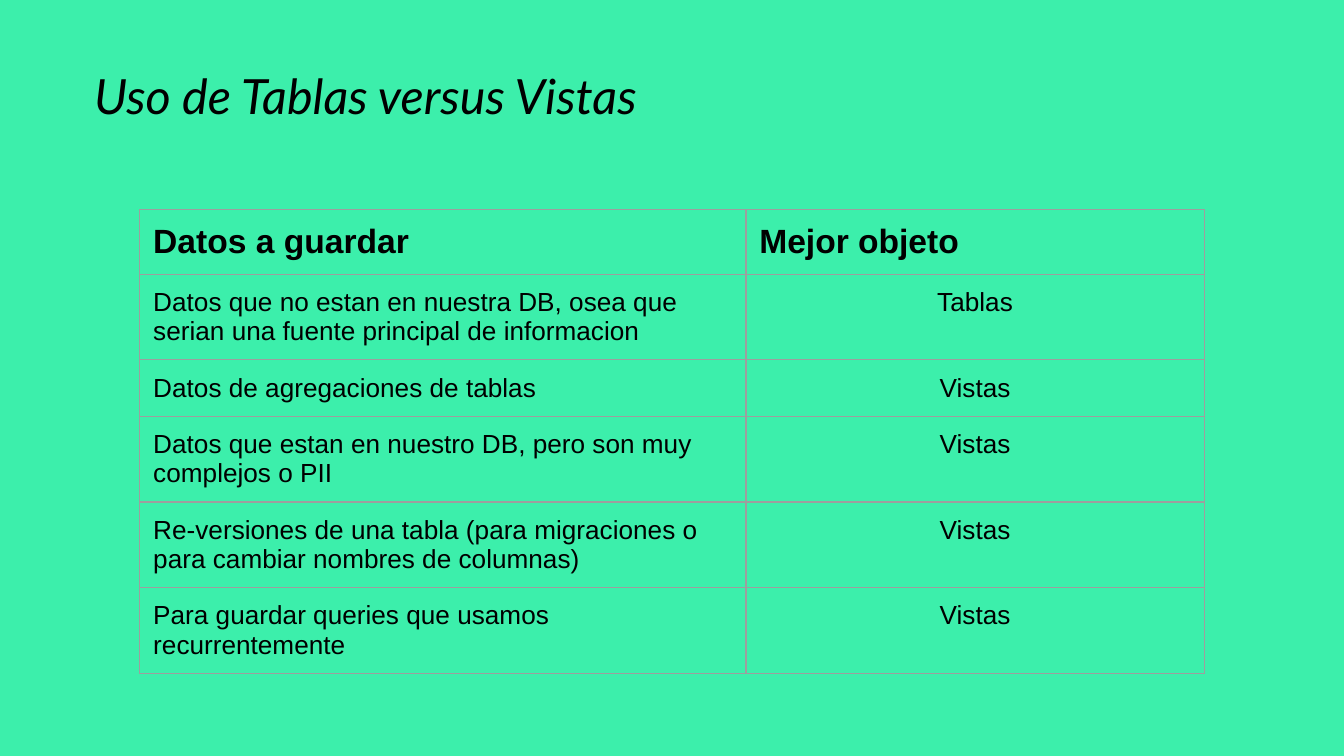
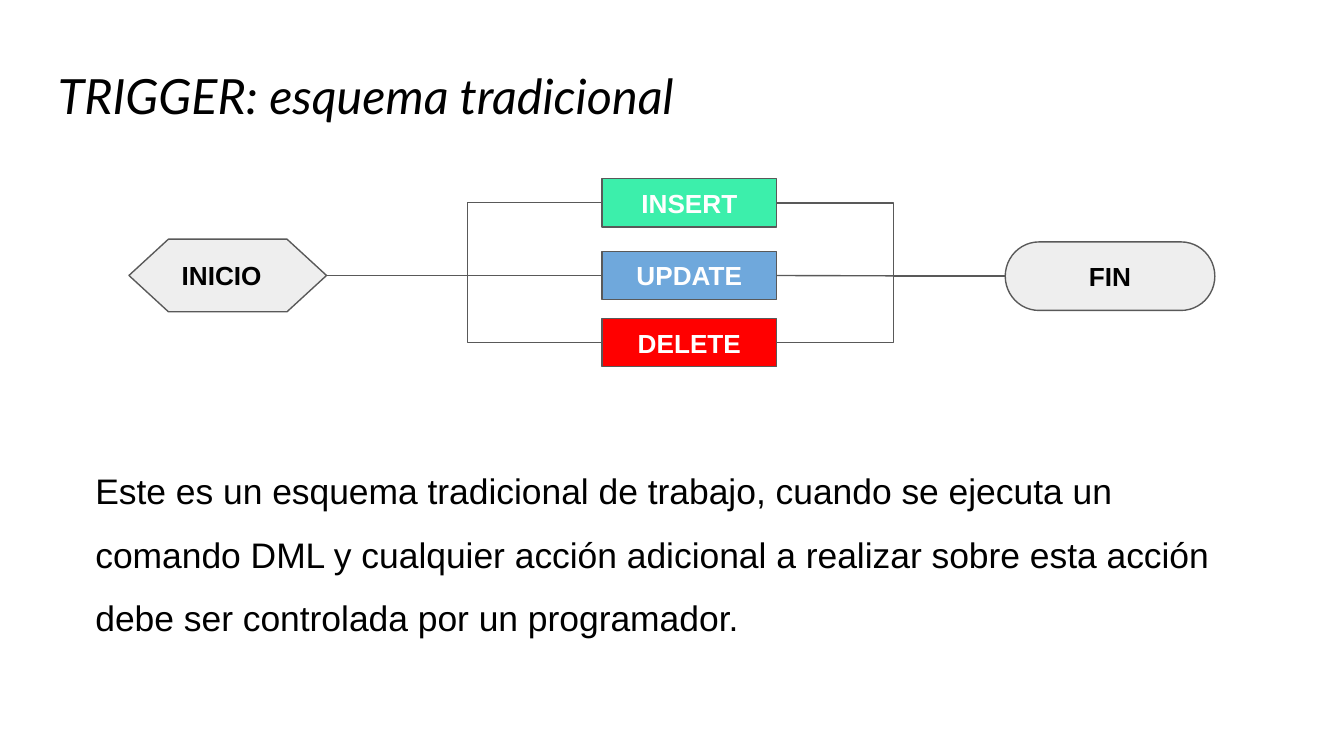
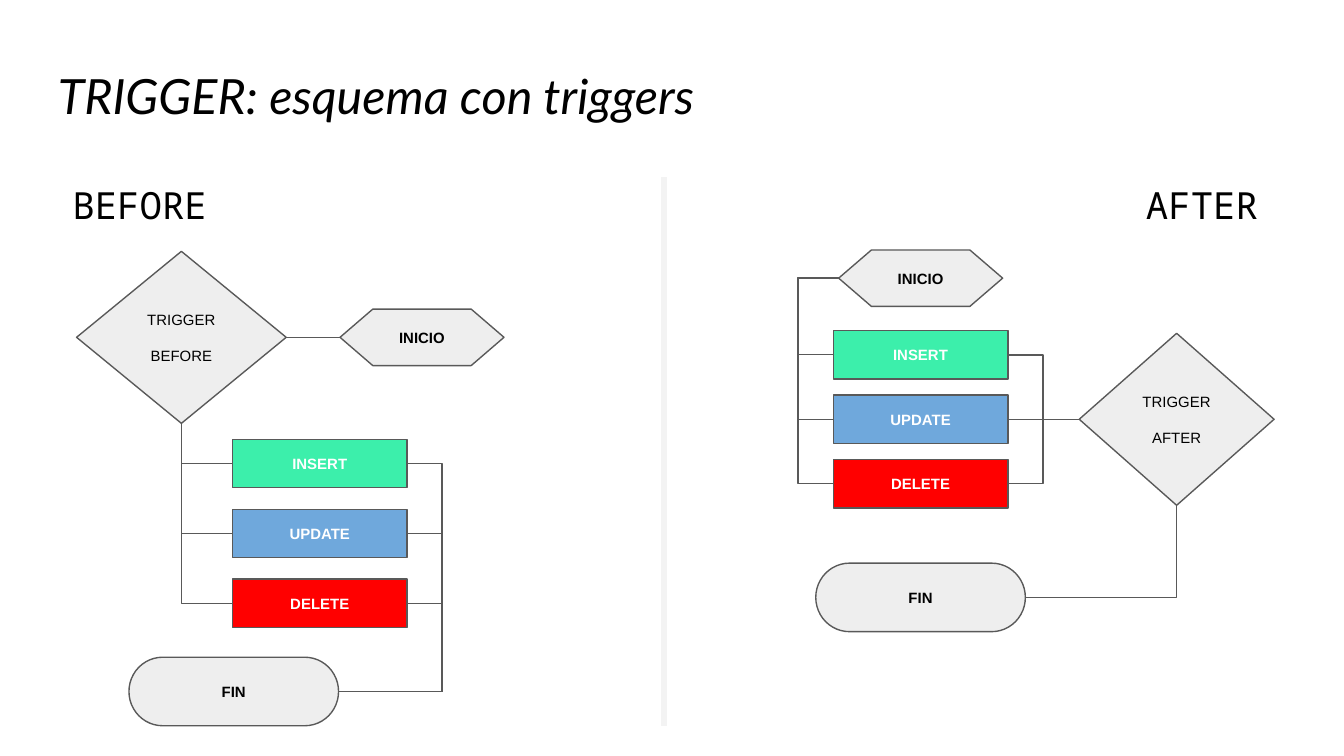
from dataclasses import dataclass

from lxml import etree
from pptx import Presentation
from pptx.dml.color import RGBColor
from pptx.enum.shapes import MSO_CONNECTOR, MSO_SHAPE
from pptx.enum.text import MSO_ANCHOR, MSO_AUTO_SIZE, PP_ALIGN
from pptx.oxml.ns import qn
from pptx.presentation import Presentation as Deck
from pptx.shapes.connector import Connector
from pptx.slide import Slide
from pptx.table import _Cell as Cell
from pptx.text.text import TextFrame
from pptx.util import Inches, Pt

COLORS = {
    "mint": "3CEFAB",
    "blue": "6FA8DC",
    "red": "FF0000",
    "gray": "EEEEEE",
    "divider": "F3F3F3",
    "outline": "595959",
    "border": "9E9E9E",
    "black": "000000",
    "white": "FFFFFF",
}
BODY_FONT, TITLE_FONT, CODE_FONT = "Arial", "Lato", "Noto Sans Mono"
LEFT, CENTER, RIGHT = PP_ALIGN.LEFT, PP_ALIGN.CENTER, PP_ALIGN.RIGHT
TOP, MIDDLE = MSO_ANCHOR.TOP, MSO_ANCHOR.MIDDLE
FIXED, GROW = MSO_AUTO_SIZE.NONE, MSO_AUTO_SIZE.SHAPE_TO_FIT_TEXT
STRAIGHT, ELBOW = MSO_CONNECTOR.STRAIGHT, MSO_CONNECTOR.ELBOW
RECTANGLE, DIAMOND = MSO_SHAPE.RECTANGLE, MSO_SHAPE.DIAMOND
START, FINISH = MSO_SHAPE.FLOWCHART_PREPARATION, MSO_SHAPE.FLOWCHART_TERMINATOR
SITE_LEFT, SITE_BOTTOM, SITE_RIGHT = 1, 2, 3
LINE, CORNER, BEND = "line", "bentConnector2", "bentConnector3"
TITLE_AND_BODY, TITLE_ONLY = 1, 5
COMMANDS = {"INSERT": "mint", "UPDATE": "blue", "DELETE": "red"}
USAGE_ROWS = [
    ("Datos a guardar", "Mejor objeto"),
    ("Datos que no estan en nuestra DB, osea que serian una fuente principal de informacion", "Tablas"),
    ("Datos de agregaciones de tablas", "Vistas"),
    ("Datos que estan en nuestro DB, pero son muy complejos o PII", "Vistas"),
    ("Re-versiones de una tabla (para migraciones o para cambiar nombres de columnas)", "Vistas"),
    ("Para guardar queries que usamos recurrentemente", "Vistas"),
]


@dataclass(frozen=True)
class TextStyle:
    """Look of the paragraphs in one text frame."""

    size: float
    font: str = BODY_FONT
    color: str = "black"
    bold: bool = False
    italic: bool = False
    align: PP_ALIGN = LEFT
    line_spacing: float = 1.0
    gap: float = 0


@dataclass(frozen=True)
class Node:
    """One flowchart shape with its text, in inches."""

    text: str
    preset: MSO_SHAPE
    left: float
    top: float
    width: float
    height: float
    style: TextStyle
    fill: str = "gray"


@dataclass(frozen=True)
class Link:
    """A connector between two named nodes, optionally bent at an x position."""

    begin: str
    begin_site: int
    end: str
    end_site: int
    geometry: str = LINE
    bend_x: float = 0


TITLE_STYLE = TextStyle(26, TITLE_FONT, italic=True)
STEP_STYLE = TextStyle(8, bold=True, align=CENTER)
TRIGGER_STYLE = TextStyle(8, align=CENTER, gap=9.6)


def rgb(name: str) -> RGBColor:
    """Look up a palette colour."""
    return RGBColor.from_string(COLORS[name])


def format_paragraph(paragraph, style: TextStyle) -> None:
    """Apply a text style to a paragraph."""
    paragraph.alignment = style.align
    paragraph.line_spacing = style.line_spacing
    font = paragraph.font
    font.name, font.size = style.font, Pt(style.size)
    font.bold, font.italic = style.bold, style.italic
    font.color.rgb = rgb(style.color)


def write_text(frame: TextFrame, text: str, style: TextStyle, anchor: MSO_ANCHOR = TOP) -> None:
    """Fill a text frame, one paragraph per line of text."""
    frame.text = text
    frame.word_wrap = True
    frame.auto_size = FIXED
    frame.vertical_anchor = anchor
    frame.margin_left = frame.margin_right = Inches(0.1)
    frame.margin_top = frame.margin_bottom = Inches(0.1)
    for index, paragraph in enumerate(frame.paragraphs):
        format_paragraph(paragraph, style)
        paragraph.space_before = Pt(style.gap if index else 0)


def place(shape, left: float, top: float, width: float, height: float) -> None:
    """Move and size a shape."""
    shape.left, shape.top = Inches(left), Inches(top)
    shape.width, shape.height = Inches(width), Inches(height)


def new_slide(presentation: Deck, layout: int, title: str, left: float, width: float,
              background: str = "white") -> Slide:
    """Add a slide with its background and title."""
    slide = presentation.slides.add_slide(presentation.slide_layouts[layout])
    slide.background.fill.solid()
    slide.background.fill.fore_color.rgb = rgb(background)
    place(slide.shapes.title, left, 0.39, width, 0.78)
    write_text(slide.shapes.title.text_frame, title, TITLE_STYLE)
    return slide


def style_connector(connector: Connector, color: str, width: float) -> None:
    """Set a connector's line and remove its shadow."""
    connector.line.color.rgb = rgb(color)
    connector.line.width = Pt(width)
    etree.SubElement(connector._element.spPr, qn("a:effectLst"))


def set_geometry(connector: Connector, link: Link) -> None:
    """Choose the elbow form and put its bend at the wanted position."""
    geometry = connector._element.spPr.find(qn("a:prstGeom"))
    geometry.set("prst", link.geometry)
    if link.geometry == BEND:
        span = connector.end_x - connector.begin_x
        share = (Inches(link.bend_x) - connector.begin_x) / span
        guides = geometry.find(qn("a:avLst"))
        etree.SubElement(guides, qn("a:gd"), name="adj1", fmla=f"val {round(share * 100000)}")


def draw_flow(slide: Slide, nodes: list[Node], links: list[Link]) -> None:
    """Draw the nodes and the connectors that join them."""
    shapes = {}
    for node in nodes:
        shape = slide.shapes.add_shape(node.preset, 0, 0, 0, 0)
        place(shape, node.left, node.top, node.width, node.height)
        shape.shadow.inherit = False
        shape.fill.solid()
        shape.fill.fore_color.rgb = rgb(node.fill)
        shape.line.color.rgb = rgb("outline")
        shape.line.width = Pt(0.75)
        write_text(shape.text_frame, node.text, node.style, MIDDLE)
        shapes[node.text] = shape
    for link in links:
        kind = STRAIGHT if link.geometry == LINE else ELBOW
        connector = slide.shapes.add_connector(kind, 0, 0, 0, 0)
        connector.begin_connect(shapes[link.begin], link.begin_site)
        connector.end_connect(shapes[link.end], link.end_site)
        if kind == ELBOW:
            set_geometry(connector, link)
        style_connector(connector, "outline", 0.75)


def command_nodes(left: float, tops: tuple[float, ...], size: float) -> list[Node]:
    """Make the column of DML command boxes."""
    style = TextStyle(size, color="white", bold=True, align=CENTER)
    return [Node(command, RECTANGLE, left, top, 1.3, 0.36, style, fill)
            for (command, fill), top in zip(COMMANDS.items(), tops)]


def fan_out(begin: str, site: int, bend_x: float) -> list[Link]:
    """Join one node to the left side of every command."""
    return [Link(begin, site, command, SITE_LEFT, BEND, bend_x) for command in COMMANDS]


def fan_in(end: str, site: int, bend_x: float) -> list[Link]:
    """Join the right side of every command to one node."""
    return [Link(command, SITE_RIGHT, end, site, BEND, bend_x) for command in COMMANDS]


def level_middle(links: list[Link]) -> list[Link]:
    """Make the links of the middle command straight."""
    return [Link(link.begin, link.begin_site, link.end, link.end_site)
            if "UPDATE" in (link.begin, link.end) else link for link in links]


def format_cell(cell: Cell, text: str, style: TextStyle) -> None:
    """Write a transparent table cell with thin borders."""
    cell.text = text
    cell.margin_left = cell.margin_right = Inches(0.1)
    cell.margin_top = cell.margin_bottom = Inches(0.1)
    format_paragraph(cell.text_frame.paragraphs[0], style)
    properties = cell._tc.get_or_add_tcPr()
    for side in ("lnL", "lnR", "lnT", "lnB"):
        line = etree.SubElement(properties, qn(f"a:{side}"), w=str(Pt(0.75)))
        fill = etree.SubElement(line, qn("a:solidFill"))
        etree.SubElement(fill, qn("a:srgbClr"), val=COLORS["border"])
    cell.fill.background()


def add_usage_slide(presentation: Deck) -> None:
    """Build the table of when to use tables or views."""
    slide = new_slide(presentation, TITLE_ONLY, "Uso de Tablas versus Vistas", 0.6, 8.8, "mint")
    widths, row_height = (4.51, 3.41), 0.42
    table = slide.shapes.add_table(
        len(USAGE_ROWS), len(widths), Inches(1.04), Inches(1.56),
        Inches(sum(widths)), Inches(row_height * len(USAGE_ROWS))).table
    table.first_row = table.horz_banding = False
    for column, width in zip(table.columns, widths):
        column.width = Inches(width)
    for row_index, texts in enumerate(USAGE_ROWS):
        table.rows[row_index].height = Inches(row_height)
        for column_index, text in enumerate(texts):
            if row_index == 0:
                style = TextStyle(18, bold=True)
            else:
                style = TextStyle(14, align=CENTER if column_index else LEFT)
            format_cell(table.cell(row_index, column_index), text, style)


def add_traditional_slide(presentation: Deck) -> None:
    """Build the flow without triggers and its explanation."""
    slide = new_slide(presentation, TITLE_AND_BODY, "TRIGGER: esquema tradicional", 0.33, 6.55)
    body = slide.placeholders[1]
    place(body, 0.61, 3.23, 8.8, 1.54)
    write_text(
        body.text_frame,
        "Este es un esquema tradicional de trabajo, cuando se ejecuta un comando DML y cualquier "
        "acción adicional a realizar sobre esta acción debe ser controlada por un programador.",
        TextStyle(19, line_spacing=1.5))
    properties = body.text_frame.paragraphs[0]._p.get_or_add_pPr()
    properties.set("marL", "0")
    properties.set("indent", "0")
    etree.SubElement(properties, qn("a:buNone"))
    properties.append(properties.find(qn("a:defRPr")))
    nodes = [
        Node("FIN", FINISH, 7.48, 1.8, 1.56, 0.51, TextStyle(14, bold=True, align=CENTER)),
        Node("INICIO", START, 0.96, 1.78, 1.47, 0.54, TextStyle(14, bold=True)),
        *command_nodes(4.48, (1.33, 1.87, 2.37), 14),
    ]
    links = fan_out("INICIO", SITE_RIGHT, 3.48) + fan_in("FIN", SITE_LEFT, 6.65)
    draw_flow(slide, nodes, level_middle(links))


def add_before_flow(slide: Slide) -> None:
    """Draw the flow whose trigger runs before the command."""
    trigger = "TRIGGER\nBEFORE"
    nodes = [
        Node("FIN", FINISH, 0.96, 4.89, 1.56, 0.51, STEP_STYLE),
        Node("INICIO", START, 2.53, 2.3, 1.22, 0.42, STEP_STYLE),
        *command_nodes(1.73, (3.27, 3.79, 4.31), 8),
        Node(trigger, DIAMOND, 0.57, 1.87, 1.56, 1.28, TRIGGER_STYLE),
    ]
    entries = [Link(command, SITE_LEFT, trigger, SITE_BOTTOM, CORNER) for command in COMMANDS]
    start = Link("INICIO", SITE_LEFT, trigger, SITE_RIGHT)
    draw_flow(slide, nodes, [*fan_in("FIN", SITE_RIGHT, 3.29), *entries, start])


def add_after_flow(slide: Slide) -> None:
    """Draw the flow whose trigger runs after the command."""
    trigger = "TRIGGER\nAFTER"
    nodes = [
        Node("INICIO", START, 6.24, 1.86, 1.22, 0.42, STEP_STYLE),
        Node("FIN", FINISH, 6.07, 4.19, 1.56, 0.51, STEP_STYLE),
        *command_nodes(6.2, (2.46, 2.94, 3.42), 8),
        Node(trigger, DIAMOND, 8.03, 2.48, 1.45, 1.28, TRIGGER_STYLE),
    ]
    links = [
        *fan_out("INICIO", SITE_LEFT, 5.94),
        *level_middle(fan_in(trigger, SITE_LEFT, 7.76)),
        Link("FIN", SITE_RIGHT, trigger, SITE_BOTTOM, CORNER),
    ]
    draw_flow(slide, nodes, links)


def add_trigger_slide(presentation: Deck) -> None:
    """Build the comparison of BEFORE and AFTER triggers."""
    slide = new_slide(presentation, TITLE_ONLY, "TRIGGER: esquema con triggers", 0.33, 6.55)
    for label, left, align in (("BEFORE", 0.44, LEFT), ("AFTER", 6.18, RIGHT)):
        box = slide.shapes.add_textbox(Inches(left), Inches(1.09), Inches(3.28), Inches(0.54))
        write_text(box.text_frame, label, TextStyle(20, CODE_FONT, align=align, line_spacing=1.5))
        box.text_frame.auto_size = GROW
    add_before_flow(slide)
    add_after_flow(slide)
    divider = slide.shapes.add_connector(
        STRAIGHT, Inches(4.94), Inches(1.32), Inches(4.94), Inches(5.4))
    style_connector(divider, "divider", 3)


def main() -> None:
    """Build and save the presentation."""
    presentation = Presentation()
    presentation.slide_width = Inches(10)
    presentation.slide_height = Inches(10) * 9 // 16
    add_usage_slide(presentation)
    add_traditional_slide(presentation)
    add_trigger_slide(presentation)
    presentation.save("out.pptx")


if __name__ == "__main__":
    main()
